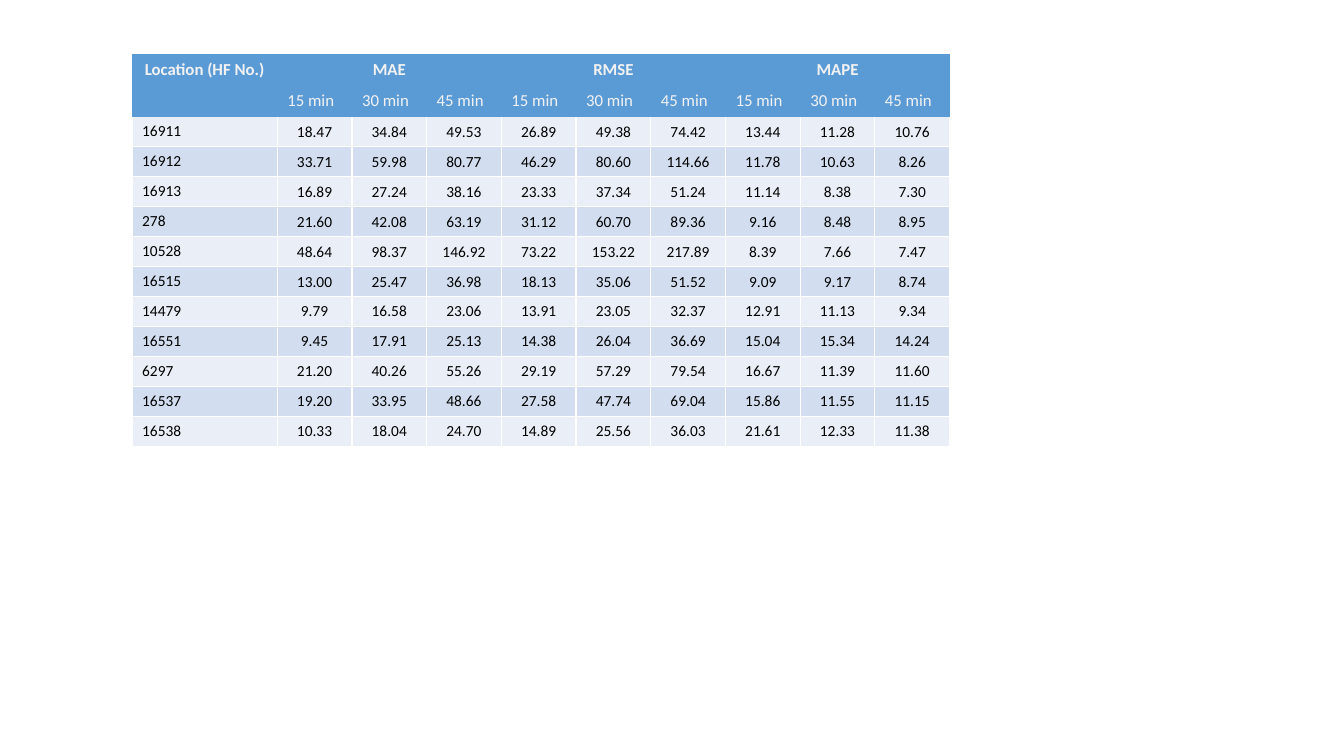
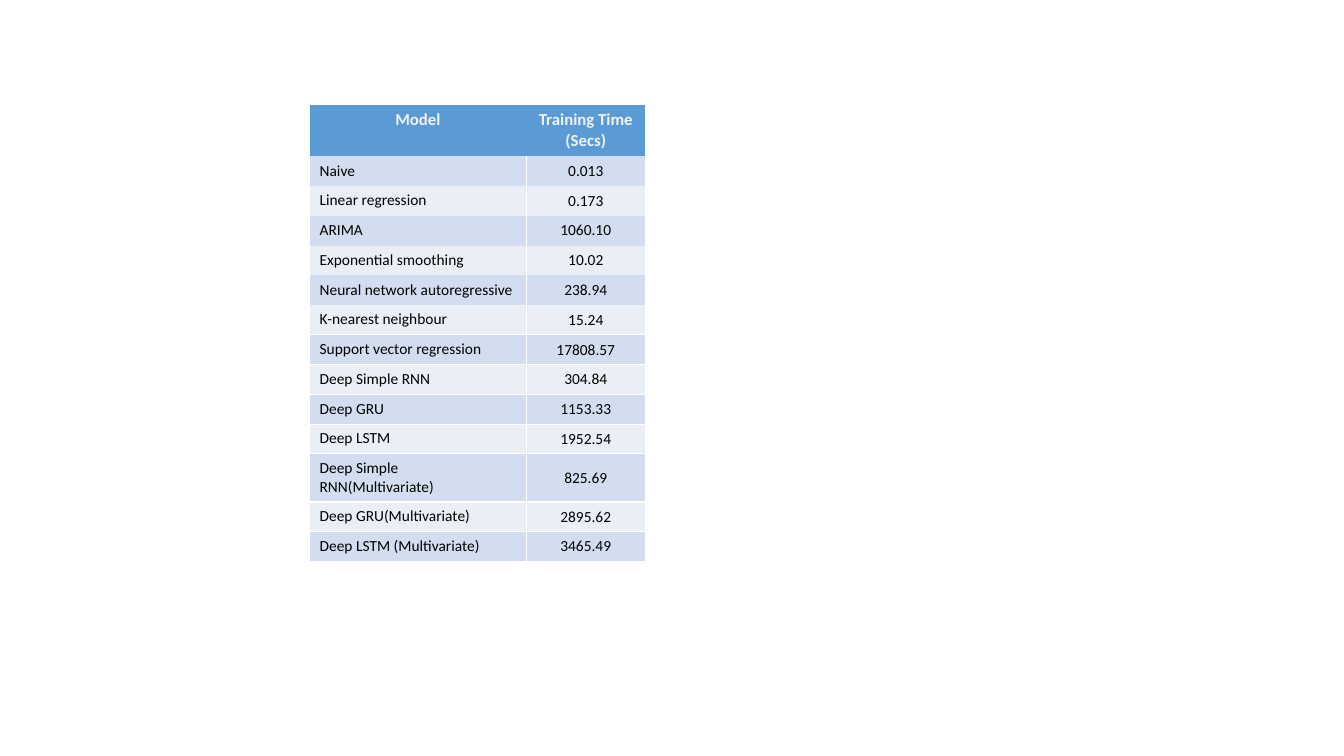
from lxml.etree import SubElement
from pptx import Presentation
from pptx.dml.color import RGBColor
from pptx.enum.text import MSO_ANCHOR, PP_ALIGN
from pptx.oxml.ns import qn
from pptx.util import Inches, Pt

COLORS = {"header": "5B9BD5", "light": "EAEFF7", "dark": "D2DEEF",
          "header_text": "F2F2F2", "text": "000000", "rule": "FFFFFF"}
FONT = "Calibri"
HEADER = {"size": 12, "color": "header_text"}


def write(cell, text, size=11, color="text", bold=False, align=PP_ALIGN.LEFT,
          anchor=MSO_ANCHOR.TOP):
    """Write formatted text in a table cell; an empty cell only gets its text size."""
    cell.vertical_anchor = anchor
    p = cell.text_frame.paragraphs[0]
    p.alignment = align
    if not text:
        SubElement(p._p, qn("a:endParaRPr"), sz=str(size * 100))
        return
    r = p.add_run()
    r.text = text
    r.font.name, r.font.size, r.font.bold = FONT, Pt(size), bold
    r.font.color.rgb = RGBColor.from_string(COLORS[color])


def add_grid(left, top, widths, heights, headers, body, stripes, ruled_from):
    """Add a slide with a striped table; rows have a bottom rule from ruled_from on."""
    slide = prs.slides.add_slide(prs.slide_layouts[6])
    rows = headers + body
    table = slide.shapes.add_table(
        len(rows), len(widths), Inches(left), Inches(top),
        Inches(sum(widths)), Inches(sum(heights))).table
    for column, width in zip(table.columns, widths):
        column.width = Inches(width)
    for row, height in zip(table.rows, heights):
        row.height = Inches(height)
    for i, texts in enumerate(rows):
        is_header = i < len(headers)
        fill = "header" if is_header else stripes[(i - len(headers)) % 2]
        ruled = {"L": not is_header, "R": not is_header,
                 "T": i > ruled_from, "B": i >= ruled_from}
        for j, text in enumerate(texts):
            cell = table.cell(i, j)
            tcPr = cell._tc.get_or_add_tcPr()
            for side, visible in ruled.items():
                ln = SubElement(tcPr, qn(f"a:ln{side}"), w=str(Pt(1)))
                if visible:
                    solid = SubElement(ln, qn("a:solidFill"))
                    SubElement(solid, qn("a:srgbClr"), val=COLORS["rule"])
                else:
                    SubElement(ln, qn("a:noFill"))
            cell.fill.solid()
            cell.fill.fore_color.rgb = RGBColor.from_string(COLORS[fill])
            if i == 0:
                write(cell, text, bold=True, align=PP_ALIGN.CENTER, **HEADER)
            elif is_header:
                write(cell, text, **HEADER)
            elif j == 0:
                write(cell, text)
            else:
                write(cell, text, align=PP_ALIGN.CENTER, anchor=MSO_ANCHOR.MIDDLE)
    return table


prs = Presentation()
prs.slide_width, prs.slide_height = Inches(13.33), Inches(7.5)

# Slide 1: forecast errors by location
metrics = ["MAE", "RMSE", "MAPE"]
horizons = ["15 min", "30 min", "45 min"]
error_headers = [["Location (HF No.)"], [""] + horizons * len(metrics)]
for metric in metrics:
    error_headers[0] += [metric, "", ""]
errors = [line.split() for line in """\
16911 18.47 34.84 49.53 26.89 49.38 74.42 13.44 11.28 10.76
16912 33.71 59.98 80.77 46.29 80.60 114.66 11.78 10.63 8.26
16913 16.89 27.24 38.16 23.33 37.34 51.24 11.14 8.38 7.30
278 21.60 42.08 63.19 31.12 60.70 89.36 9.16 8.48 8.95
10528 48.64 98.37 146.92 73.22 153.22 217.89 8.39 7.66 7.47
16515 13.00 25.47 36.98 18.13 35.06 51.52 9.09 9.17 8.74
14479 9.79 16.58 23.06 13.91 23.05 32.37 12.91 11.13 9.34
16551 9.45 17.91 25.13 14.38 26.04 36.69 15.04 15.34 14.24
6297 21.20 40.26 55.26 29.19 57.29 79.54 16.67 11.39 11.60
16537 19.20 33.95 48.66 27.58 47.74 69.04 15.86 11.55 11.15
16538 10.33 18.04 24.70 14.89 25.56 36.03 21.61 12.33 11.38""".splitlines()]
error_table = add_grid(
    1.31, 0.54, [1.44] + [(8.11 - 1.44) / 9] * 9,
    [0.31] * 2 + [(3.89 - 2 * 0.31) / len(errors)] * len(errors),
    error_headers, errors, ("light", "dark"), ruled_from=2)
for first in range(1, 10, len(horizons)):
    error_table.cell(0, first).merge(error_table.cell(0, first + len(horizons) - 1))

# Slide 2: training time by model
times = [
    ("Naive", "0.013"),
    ("Linear regression", "0.173"),
    ("ARIMA", "1060.10"),
    ("Exponential smoothing", "10.02"),
    ("Neural network autoregressive", "238.94"),
    ("K-nearest neighbour", "15.24"),
    ("Support vector regression", "17808.57"),
    ("Deep Simple RNN", "304.84"),
    ("Deep GRU", "1153.33"),
    ("Deep LSTM", "1952.54"),
    ("Deep Simple RNN(Multivariate)", "825.69"),
    ("Deep GRU(Multivariate)", "2895.62"),
    ("Deep LSTM (Multivariate)", "3465.49"),
]
add_grid(3.07, 1.04, [2.15, 1.18],
         [0.51] + [(4.35 - 0.51) / len(times)] * len(times),
         [("Model", "Training Time (Secs)")], times, ("dark", "light"), ruled_from=6)

prs.save("out.pptx")
